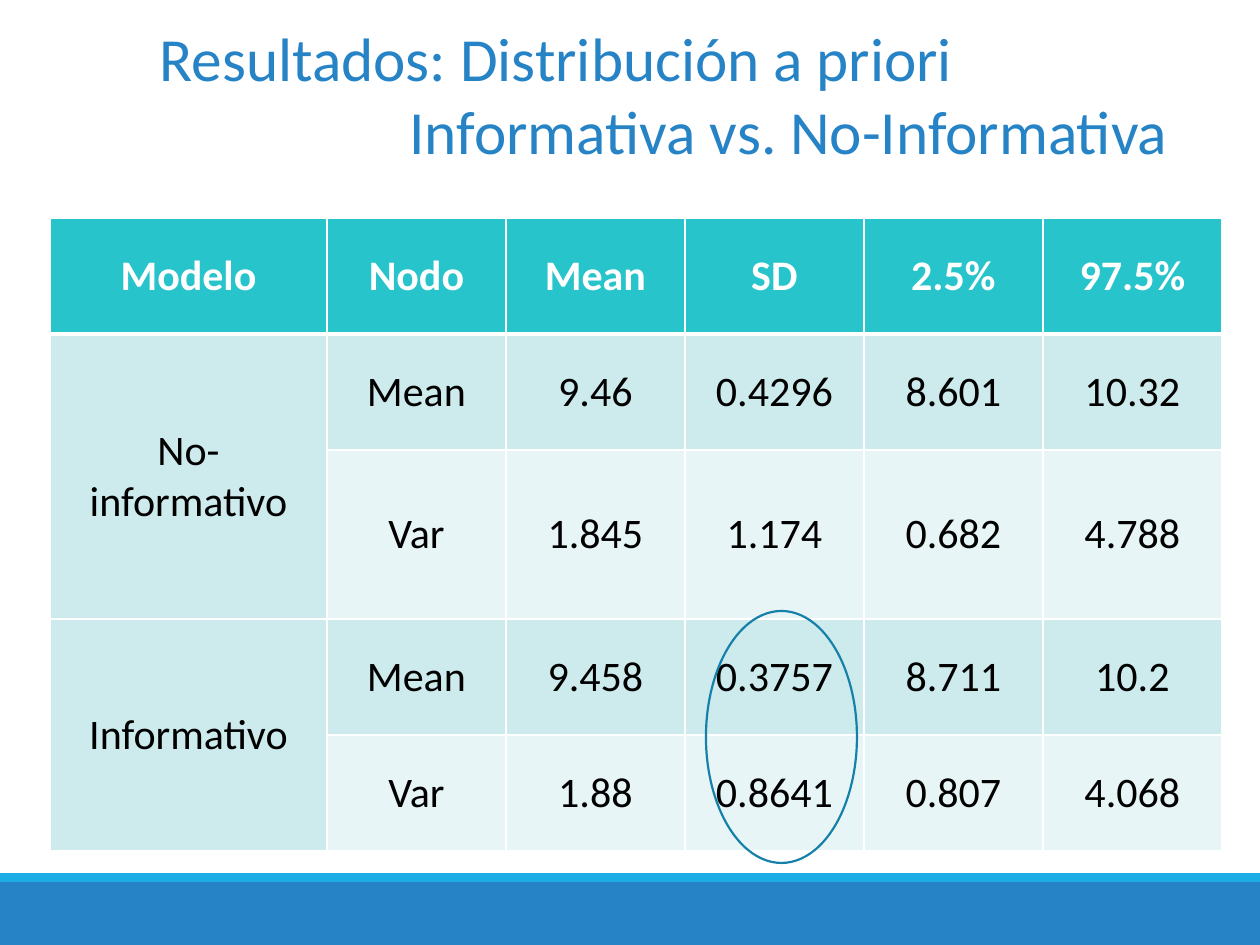
from dataclasses import dataclass

from lxml import etree
from pptx import Presentation
from pptx import util as u
from pptx.dml.color import RGBColor
from pptx.enum import shapes, text
from pptx.oxml.ns import qn


@dataclass(frozen=True)
class Theme:
    font: str = "Calibri"
    title_pt: int = 35
    cell_pt: int = 24
    blue: str = "2683C6"
    sky: str = "1CADE4"
    ring: str = "1580A9"
    header: str = "28C4CC"
    band: str = "CDEAEC"
    pale: str = "E8F5F6"
    white: str = "FFFFFF"
    black: str = "000000"


T = Theme()
TITLE = [("Resultados: Distribución a priori", 0),
         ("Informativa vs. No-Informativa", 250)]
ROWS = [
    ["Modelo", "Nodo", "Mean", "SD", "2.5%", "97.5%"],
    ["No-informativo", "Mean", "9.46", "0.4296", "8.601", "10.32"],
    ["", "Var", "1.845", "1.174", "0.682", "4.788"],
    ["Informativo", "Mean", "9.458", "0.3757", "8.711", "10.2"],
    ["", "Var", "1.88", "0.8641", "0.807", "4.068"],
]
COL_WIDTHS = [277] + [179] * 5
ROW_HEIGHTS = [116, 116, 169, 116, 116]


def px(n):
    return u.Emu(round(n * 914400 / 126))


def rgb(value):
    return RGBColor.from_string(value)


def set_attrs(obj, values):
    for name, value in values.items():
        setattr(obj, name, value)


def write(p, content, size, color, align, bold=False):
    p.alignment = align
    r = p.add_run()
    r.text = content
    set_attrs(r.font, {"name": T.font, "size": u.Pt(size), "bold": bold})
    r.font.color.rgb = rgb(color)


def add_title(s):
    sp = s.shapes.title
    set_attrs(sp, {"left": px(147), "top": px(13),
                   "width": px(1113), "height": px(161)})
    tf = sp.text_frame
    set_attrs(tf, {"word_wrap": True, "auto_size": text.MSO_AUTO_SIZE.NONE,
                   "vertical_anchor": text.MSO_ANCHOR.MIDDLE})
    for i, (line, indent) in enumerate(TITLE):
        p = tf.add_paragraph() if i else tf.paragraphs[0]
        write(p, line, T.title_pt, T.blue, text.PP_ALIGN.LEFT)
        p._p.get_or_add_pPr().set("marL", str(px(indent)))


def add_shape(s, kind, box, fill=None, line=None):
    sp = s.shapes.add_shape(kind, *map(px, box))
    sp.shadow.inherit = False
    if fill:
        sp.fill.solid()
        sp.fill.fore_color.rgb = rgb(fill)
    else:
        sp.fill.background()
    if line:
        sp.line.color.rgb = rgb(line)
        sp.line.width = u.Pt(1.25)
    else:
        sp.line.fill.background()


def set_borders(cell, widths):
    tc_pr = cell._tc.get_or_add_tcPr()
    for side, width in widths.items():
        ln = etree.SubElement(tc_pr, qn(f"a:ln{side}"), w=str(u.Pt(width)))
        fill = etree.SubElement(ln, qn("a:solidFill"))
        etree.SubElement(fill, qn("a:srgbClr"), val=T.white)


def format_cell(cell, content, row, col):
    header = row == 0
    top = 3 if row == 1 else 1
    set_borders(cell, {"L": 1, "R": 1, "T": top, "B": 3 if header else 1})
    cell.fill.solid()
    banded = row % 2 or col == 0
    color = T.header if header else T.band if banded else T.pale
    cell.fill.fore_color.rgb = rgb(color)
    cell.vertical_anchor = text.MSO_ANCHOR.MIDDLE
    if content:
        write(cell.text_frame.paragraphs[0], content, T.cell_pt,
              T.white if header else T.black, text.PP_ALIGN.CENTER, header)


def add_results(s):
    box = (50, 218, sum(COL_WIDTHS), sum(ROW_HEIGHTS))
    table = s.shapes.add_table(len(ROWS), len(COL_WIDTHS), *map(px, box)).table
    table.horz_banding = False
    for column, width in zip(table.columns, COL_WIDTHS):
        column.width = px(width)
    for i, (row, height) in enumerate(zip(ROWS, ROW_HEIGHTS)):
        table.rows[i].height = px(height)
        for j, content in enumerate(row):
            format_cell(table.cell(i, j), content, i, j)
    for i in (1, 3):
        table.cell(i, 0).merge(table.cell(i + 1, 0))


def main():
    prs = Presentation()
    set_attrs(prs, {"slide_width": px(1260), "slide_height": px(945)})
    s = prs.slides.add_slide(prs.slide_layouts[5])
    rect, oval = shapes.MSO_SHAPE.RECTANGLE, shapes.MSO_SHAPE.OVAL
    add_shape(s, rect, (0, 882, 1260, 63), fill=T.blue)
    add_shape(s, rect, (0, 873, 1260, 9), fill=T.sky)
    add_title(s)
    add_results(s)
    add_shape(s, oval, (706, 611, 151, 252), line=T.ring)
    prs.save("out.pptx")


if __name__ == "__main__":
    main()
